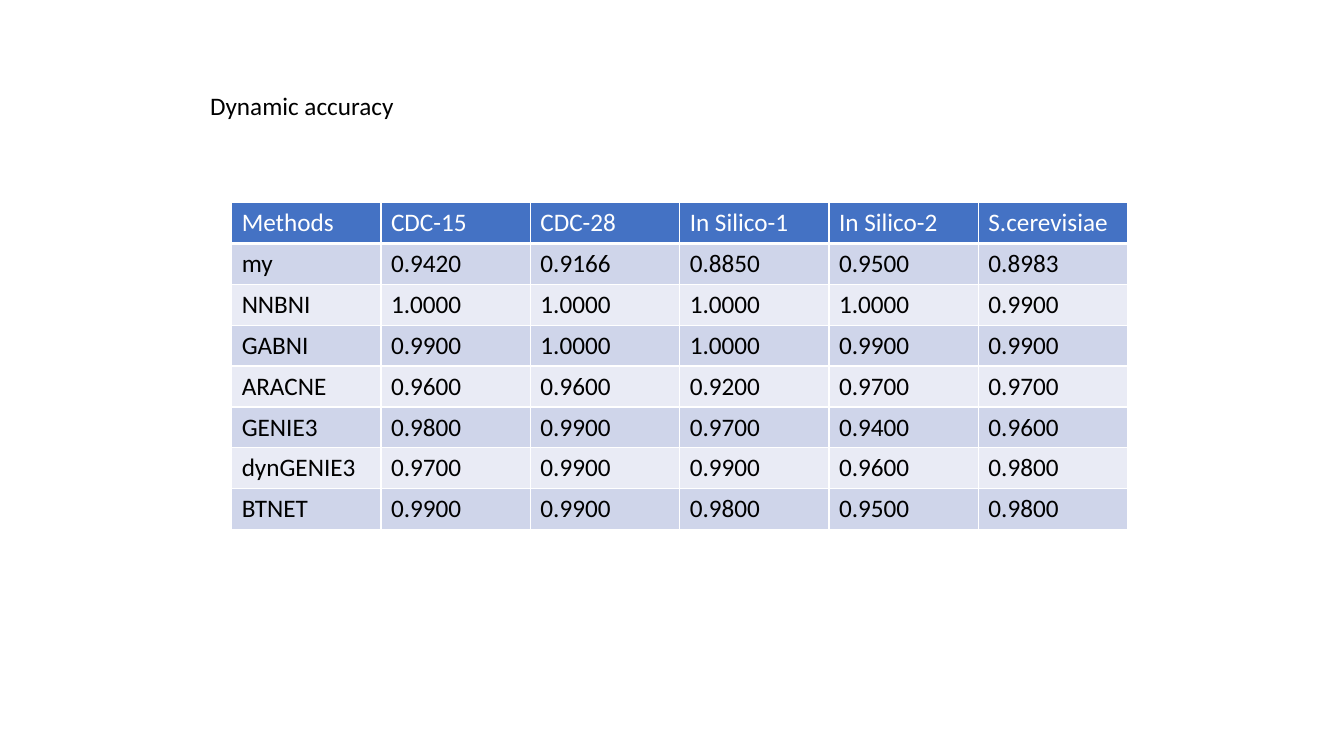
from lxml import etree
from pptx import Presentation
from pptx import util as u
from pptx.dml.color import RGBColor
from pptx.enum import text
from pptx.oxml import ns

TITLE = "Dynamic accuracy"
HEADER = ["Methods", "CDC-15", "CDC-28", "In Silico-1", "In Silico-2", "S.cerevisiae"]
ACCURACY = [
    ("my", 0.9420, 0.9166, 0.8850, 0.9500, 0.8983),
    ("NNBNI", 1, 1, 1, 1, 0.99),
    ("GABNI", 0.99, 1, 1, 0.99, 0.99),
    ("ARACNE", 0.96, 0.96, 0.92, 0.97, 0.97),
    ("GENIE3", 0.98, 0.99, 0.97, 0.94, 0.96),
    ("dynGENIE3", 0.97, 0.99, 0.99, 0.96, 0.98),
    ("BTNET", 0.99, 0.99, 0.98, 0.95, 0.98),
]
BLACK, WHITE, HEADER_FILL = "000000", "FFFFFF", "4472C4"
BANDS = ["E9EBF5", "CFD5EA"]
COLUMN_WIDTH, ROW_HEIGHT = 106.67, 29.2


def color(hex_string):
    """Return the colour for a hex string."""
    return RGBColor.from_string(hex_string)


def write(frame, words, ink):
    """Put one styled line of text into a text frame."""
    para = frame.paragraphs[0]
    para.text = words
    para.font.name, para.font.size = "Calibri", u.Pt(18)
    para.font.bold = False
    para.font.color.rgb = color(ink)


def add_borders(cell, widths):
    """Draw white cell borders, with widths in points by side."""
    properties = cell._tc.get_or_add_tcPr()
    for side, width in widths.items():
        line = etree.SubElement(properties, ns.qn(f"a:ln{side}"), w=str(u.Pt(width)))
        fill = etree.SubElement(line, ns.qn("a:solidFill"))
        etree.SubElement(fill, ns.qn("a:srgbClr"), val=WHITE)


def add_accuracy_table(page, left, top):
    """Add the table of accuracy by method and data set."""
    rows = [HEADER] + [(name, *(f"{value:.4f}" for value in values))
                       for name, *values in ACCURACY]
    table = page.shapes.add_table(
        len(rows), len(HEADER), u.Pt(left), u.Pt(top),
        u.Pt(COLUMN_WIDTH * len(HEADER)), u.Pt(ROW_HEIGHT * len(rows))).table
    for r, row in enumerate(rows):
        for c, words in enumerate(row):
            cell = table.cell(r, c)
            write(cell.text_frame, words, BLACK if r else WHITE)
            add_borders(cell, {"L": 1, "R": 1, "T": 3 if r == 1 else 1,
                               "B": 1 if r else 3})
            cell.fill.solid()
            cell.fill.fore_color.rgb = color(BANDS[r % 2] if r else HEADER_FILL)


deck = Presentation()
deck.slide_width, deck.slide_height = u.Pt(960), u.Pt(540)
page = deck.slides.add_slide(deck.slide_layouts[6])
add_accuracy_table(page, left=165.5, top=144.7)
box = page.shapes.add_textbox(u.Pt(143), u.Pt(60.8), u.Pt(147), u.Pt(29))
box.text_frame.word_wrap = False
box.text_frame.auto_size = text.MSO_AUTO_SIZE.SHAPE_TO_FIT_TEXT
write(box.text_frame, TITLE, BLACK)
deck.save("out.pptx")
